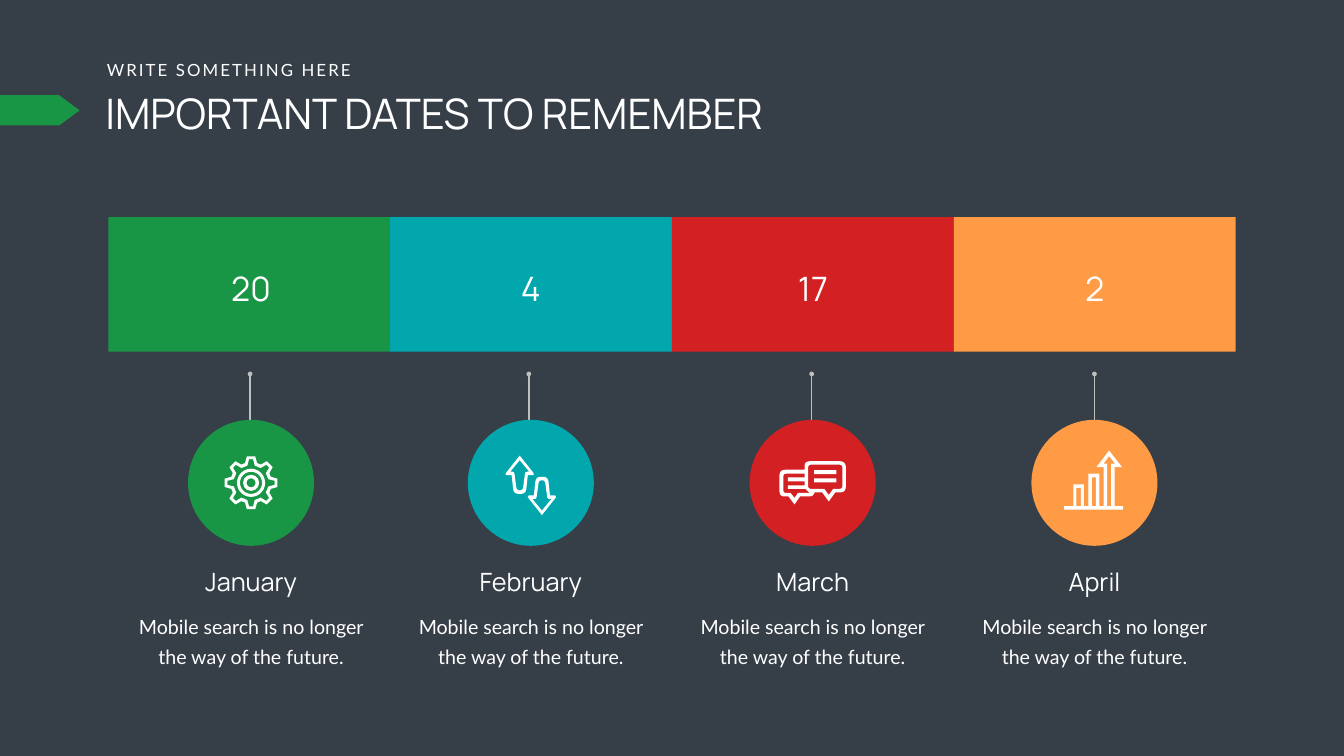
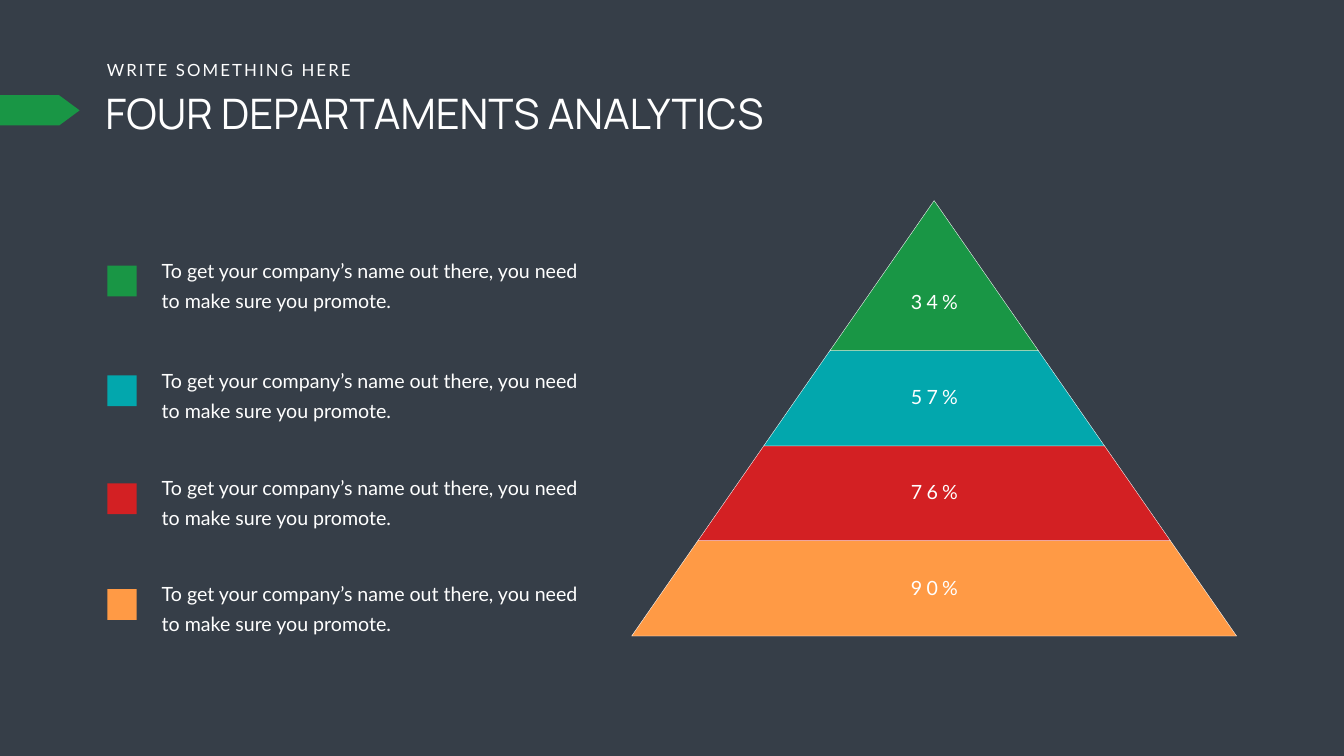
from math import cos, dist, radians, sin

from lxml import etree
from pptx import Presentation
from pptx.dml.color import RGBColor
from pptx.enum.shapes import MSO_CONNECTOR, MSO_SHAPE
from pptx.enum.text import MSO_AUTO_SIZE, PP_ALIGN
from pptx.oxml.ns import qn
from pptx.util import Pt

PX = 9144  # 100 px to the inch

BACKGROUND = RGBColor(0x36, 0x3E, 0x48)
WHITE = RGBColor(0xFF, 0xFF, 0xFF)
GREY = RGBColor(0xBF, 0xBF, 0xBF)
GREEN = RGBColor(0x19, 0x96, 0x45)
TEAL = RGBColor(0x02, 0xA7, 0xAD)
RED = RGBColor(0xD3, 0x20, 0x23)
ORANGE = RGBColor(0xFF, 0x9A, 0x45)
PALETTE = [GREEN, TEAL, RED, ORANGE]

HEADING_FONT = "Manrope"
BODY_FONT = "Lato"

# month, day, column centre, stem position, width of the day's box
DATES = [
    ("January", "20", 498, 496, 102),
    ("February", "4", 1053, 1049, 64),
    ("March", "17", 1612, 1610, 81),
    ("April", "2", 2171, 2171, 59),
]
DATE_NOTE = "Mobile search is no longer the way of the future."
LEGEND_NOTE = "To get your company’s name out there, you need to make sure you promote."
LEGEND_TOPS = [495, 713, 927, 1137]
SHARES = ["34%", "57%", "76%", "90%"]
PYRAMID_LEVELS = [398, 696, 885, 1073, 1262]

# Outline points are (x, y) or (x, y, corner radius).
BUBBLES = [
    [(1596, 915, 13), (1678, 915, 13), (1678, 977, 13), (1657, 977), (1644, 995),
     (1631, 977), (1616, 977), (1612, 985, 8), (1587, 985), (1576, 1001),
     (1564, 985), (1546, 985, 12), (1546, 932, 12), (1596, 932)],
    [(1603, 922, 6), (1671, 922, 6), (1671, 970, 6), (1653, 970), (1644, 982),
     (1635, 970), (1603, 970, 6)],
    [(1583, 978), (1576, 988), (1568, 978), (1554, 978, 5), (1554, 940, 5),
     (1596, 940), (1596, 947), (1563, 947), (1563, 955), (1596, 955), (1596, 963),
     (1563, 963), (1563, 970), (1598, 970), (1606, 978)],
]
GROWTH_BARS = [
    [(2111, 1011), (2111, 1004), (2129, 1004), (2129, 961), (2150, 961), (2150, 1004),
     (2159, 1004), (2159, 940), (2181, 940), (2181, 1004), (2189, 1004), (2189, 927),
     (2175, 927), (2200, 894), (2226, 927), (2211, 927), (2211, 1004), (2228, 1004),
     (2228, 1011)],
    [(2135, 968), (2144, 968), (2144, 1004), (2135, 1004)],
    [(2166, 947), (2174, 947), (2174, 1004), (2166, 1004)],
    [(2189, 920), (2200, 905), (2212, 920), (2204, 920), (2204, 1004), (2196, 1004),
     (2196, 920)],
]
ARROW_OUTER_HALF = [(0, 0), (31, 39, 8), (16, 39), (12, 76, 10)]
ARROW_INNER_HALF = [(0, 9), (19, 32), (11, 32, 4), (6, 69, 6)]


def paint(shape, fill, line=None):
    shape.shadow.inherit = False
    shape.fill.solid()
    shape.fill.fore_color.rgb = fill
    if line is None:
        shape.line.fill.background()
    else:
        shape.line.color.rgb = line
        shape.line.width = Pt(0.5)


def add_block(page, kind, left, top, width, height, fill):
    shape = page.shapes.add_shape(kind, left * PX, top * PX, width * PX, height * PX)
    paint(shape, fill)
    return shape


def add_text(page, text, left, top, width, height, size, font=BODY_FONT, align=None,
             wrap=True, tracking=0, leading=None, insets=(10, 5)):
    box = page.shapes.add_textbox(left * PX, top * PX, width * PX, height * PX)
    frame = box.text_frame
    frame.text = text
    frame.word_wrap = wrap
    frame.auto_size = MSO_AUTO_SIZE.SHAPE_TO_FIT_TEXT
    frame.margin_left = frame.margin_right = insets[0] * PX
    frame.margin_top = frame.margin_bottom = insets[1] * PX
    para = frame.paragraphs[0]
    para.alignment = align
    if leading:
        para.line_spacing = Pt(leading)
    span = para.runs[0]
    span.font.name = font
    span.font.size = Pt(size)
    span.font.color.rgb = WHITE
    if tracking:
        span.font._element.set("spc", str(tracking * 100))


def soften(points):
    """Replace each corner that has a radius with a short curve."""
    outline = []
    for index, (x, y, *radius) in enumerate(points):
        if not radius:
            outline.append((x, y))
            continue
        ends = []
        for other in (points[index - 1], points[(index + 1) % len(points)]):
            share = min(radius[0] / dist((x, y), other[:2]), 0.5)
            ends.append((x + (other[0] - x) * share, y + (other[1] - y) * share))
        (ax, ay), (bx, by) = ends
        for t in (0, 0.25, 0.5, 0.75, 1):
            a, mid, b = (1 - t) ** 2, 2 * t * (1 - t), t * t
            outline.append((a * ax + mid * x + b * bx, a * ay + mid * y + b * by))
    return outline


def add_outline(page, contours, fill, line=None):
    """Draw one freeform; contours inside the first become holes."""
    builder = None
    for contour in contours:
        points = [(round(x * PX), round(y * PX)) for x, y in soften(contour)]
        if builder is None:
            builder = page.shapes.build_freeform(*points[0], scale=1.0)
        else:
            builder.move_to(*points[0])
        builder.add_line_segments(points[1:], close=True)
    paint(builder.convert_to_shape(), fill, line)


def add_ring(page, centre_x, centre_y, diameter, thickness):
    ring = add_block(page, MSO_SHAPE.DONUT, centre_x - diameter // 2,
                     centre_y - diameter // 2, diameter, diameter, WHITE)
    ring.adjustments[0] = thickness / diameter


def gear_contour(centre_x, centre_y, tip, tip_angle, valley, valley_angle):
    corners = [(-valley_angle, valley), (-tip_angle, tip),
               (tip_angle, tip), (valley_angle, valley)]
    return [(centre_x + radius * sin(radians(tooth * 45 + angle)),
             centre_y - radius * cos(radians(tooth * 45 + angle)))
            for tooth in range(8) for angle, radius in corners]


def add_gear_icon(page):
    x, y = 498, 958
    add_outline(page, [gear_contour(x, y, 53, 9, 41, 17),
                       gear_contour(x, y, 47, 5, 35, 12)], WHITE)
    add_ring(page, x, y, 56, 6)
    add_ring(page, x, y, 32, 7)


def add_arrow_icon(page, tip_x, tip_y, direction):
    """Direction is 1 for an arrow pointing up and -1 for down."""
    contours = []
    for half in (ARROW_OUTER_HALF, ARROW_INNER_HALF):
        mirrored = [(-x, *rest) for x, *rest in reversed(half) if x]
        contours.append([(tip_x + x, tip_y + direction * y, *radius)
                         for x, y, *radius in half + mirrored])
    add_outline(page, contours, WHITE)


def add_bubbles_icon(page):
    add_outline(page, BUBBLES, WHITE)
    for top in (933, 949):
        add_block(page, MSO_SHAPE.RECTANGLE, 1615, top, 44, 8, WHITE)


def add_stem(page, x):
    stem = page.shapes.add_connector(MSO_CONNECTOR.STRAIGHT,
                                     x * PX, 899 * PX, x * PX, 742 * PX)
    stem.line.color.rgb = GREY
    stem.line.width = Pt(2.25)
    etree.SubElement(stem.line._get_or_add_ln(), qn("a:tailEnd"), type="oval")
    etree.SubElement(stem._element.spPr, qn("a:effectLst"))


def add_page(deck, title, title_width):
    page = deck.slides.add_slide(deck.slide_layouts[6])
    page.background.fill.solid()
    page.background.fill.fore_color.rgb = BACKGROUND
    add_text(page, title, 199, 168, title_width, 111, 60, HEADING_FONT)
    add_text(page, "WRITE SOMETHING HERE", 202, 113, 514, 50, 24,
             wrap=False, tracking=3)
    marker = add_block(page, MSO_SHAPE.PENTAGON, 0, 189, 158, 60, GREEN)
    marker.adjustments[0] = 0.678
    return page


def add_date(page, index, month, day, centre, stem_x, day_width):
    colour = PALETTE[index]
    add_block(page, MSO_SHAPE.RECTANGLE, 215 + 559 * index, 431, 559, 267, colour)
    add_text(page, day, centre - day_width // 2, 526, day_width, 91, 48, HEADING_FONT,
             PP_ALIGN.CENTER, wrap=False)
    add_stem(page, stem_x)
    add_block(page, MSO_SHAPE.OVAL, centre - 125, 833, 250, 250, colour)
    add_text(page, DATE_NOTE, centre - 257, 1195, 514, 138, 28,
             align=PP_ALIGN.CENTER, leading=43, insets=(24, 12))
    add_text(page, month, centre - 257, 1119, 514, 71, 36, HEADING_FONT,
             PP_ALIGN.CENTER)


def build_dates(deck):
    page = add_page(deck, "IMPORTANT DATES TO REMEMBER", 1606)
    for index, date in enumerate(DATES):
        add_date(page, index, *date)
    add_gear_icon(page)
    add_arrow_icon(page, 1031, 904, 1)
    add_arrow_icon(page, 1075, 1022, -1)
    add_bubbles_icon(page)
    add_outline(page, GROWTH_BARS, WHITE)


def add_pyramid(page):
    centre, apex, base = 1853, PYRAMID_LEVELS[0], PYRAMID_LEVELS[-1]
    for colour, top, bottom in zip(PALETTE, PYRAMID_LEVELS, PYRAMID_LEVELS[1:]):
        upper, lower = (600 * (y - apex) / (base - apex) for y in (top, bottom))
        add_outline(page, [[(centre - lower, bottom), (centre - upper, top),
                            (centre + upper, top), (centre + lower, bottom)]],
                    colour, WHITE)
    for index, share in enumerate(SHARES):
        add_text(page, share, 1657, 570 + 189 * index, 393, 57, 28,
                 align=PP_ALIGN.CENTER, tracking=6)


def build_departments(deck):
    page = add_page(deck, "FOUR DEPARTAMENTS ANALYTICS", 1432)
    add_pyramid(page)
    for colour, top in zip(PALETTE, LEGEND_TOPS):
        add_block(page, MSO_SHAPE.RECTANGLE, 213, top + 32, 58, 61, colour)
        add_text(page, LEGEND_NOTE, 311, top, 858, 125, 28, leading=43)


def main():
    deck = Presentation()
    deck.slide_width = 2666 * PX
    deck.slide_height = 1500 * PX
    build_dates(deck)
    build_departments(deck)
    deck.save("out.pptx")


if __name__ == "__main__":
    main()
